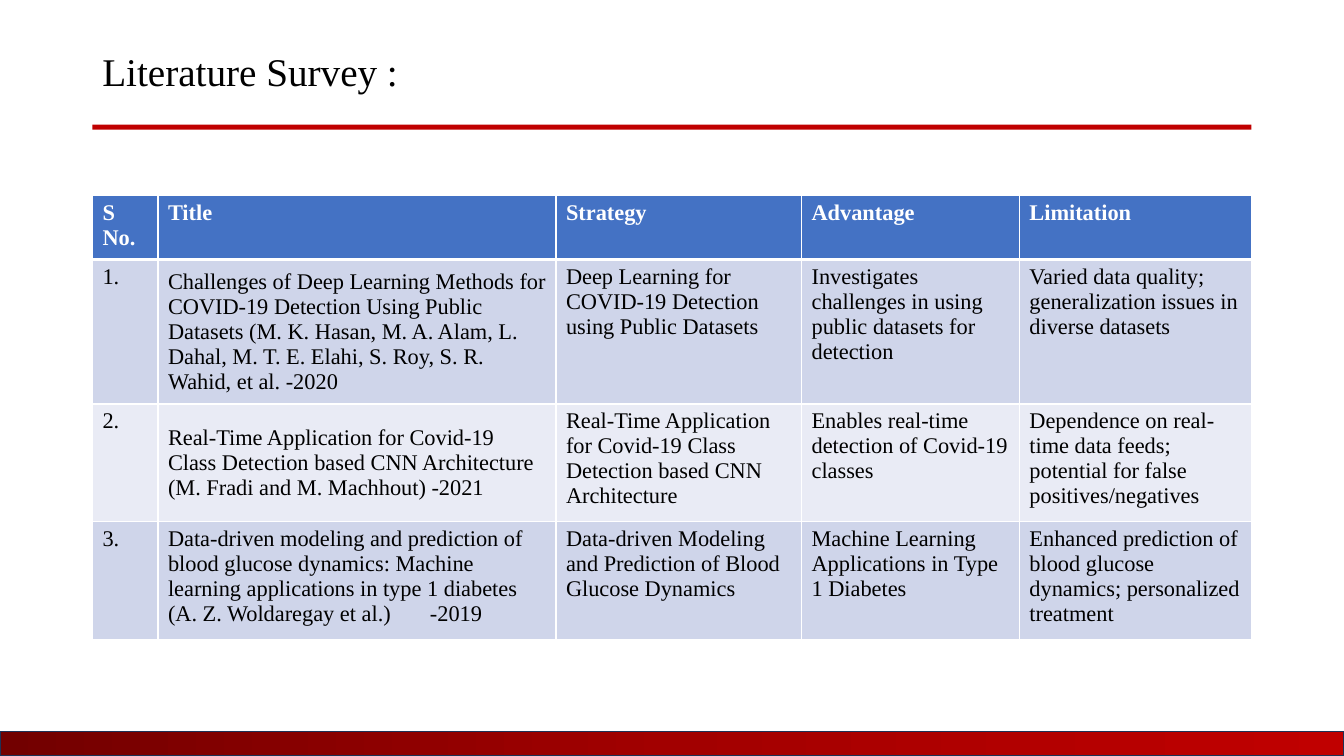
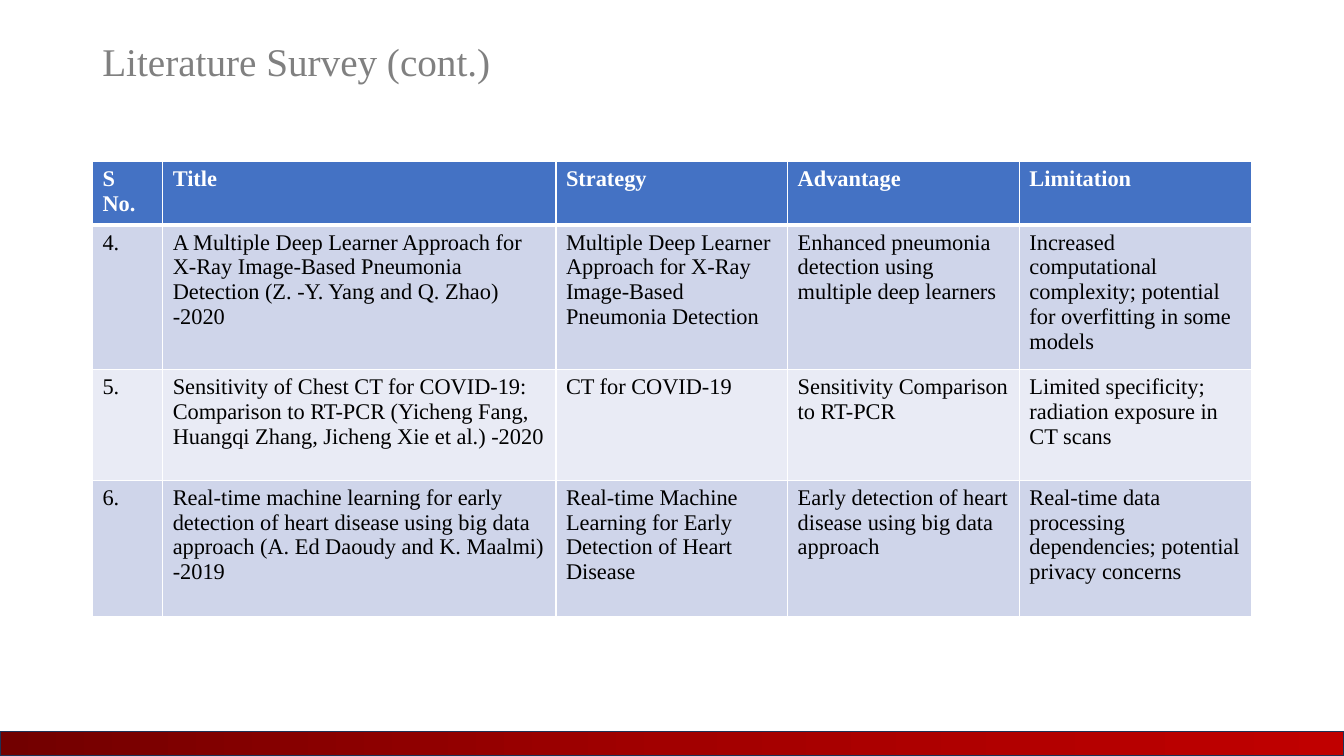
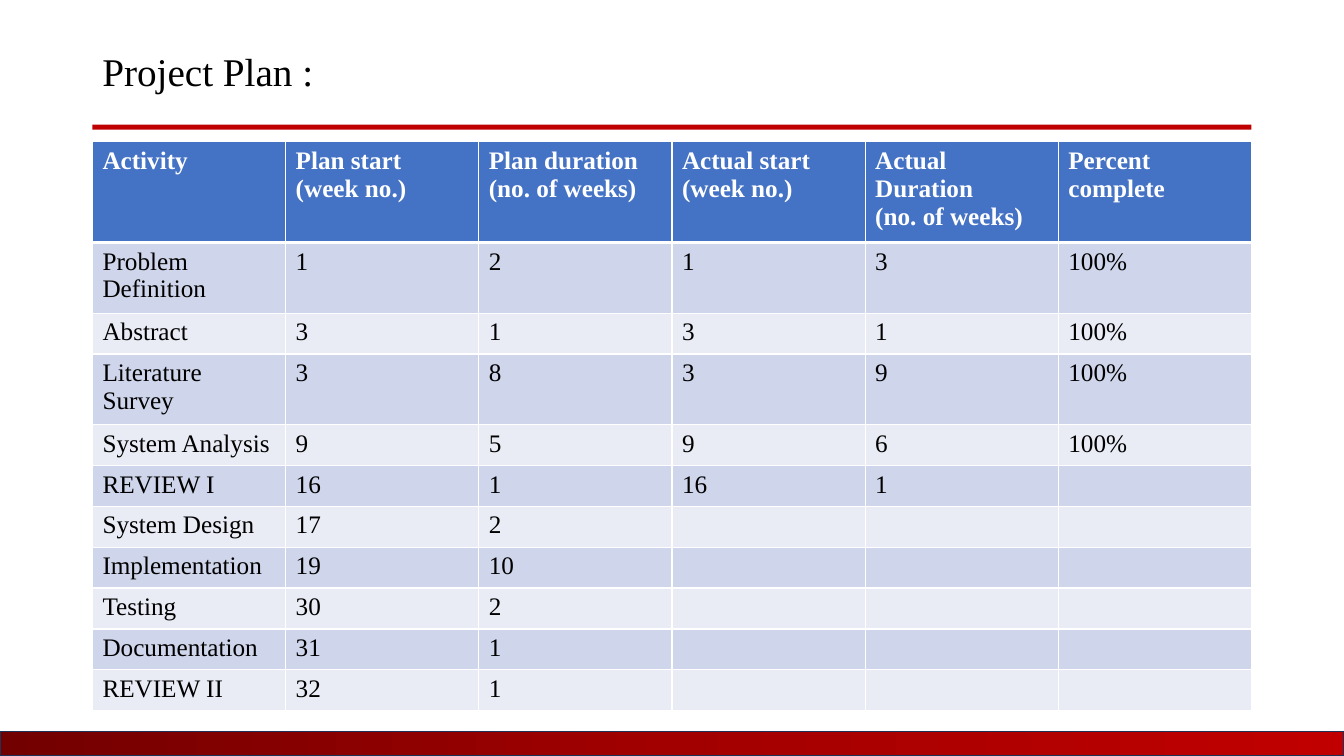
from copy import deepcopy

from pptx import Presentation
from pptx.dml.color import RGBColor
from pptx.enum.shapes import MSO_SHAPE as Shape
from pptx.enum.text import MSO_ANCHOR as Anchor
from pptx.oxml.ns import qn
from pptx.oxml.xmlchemy import OxmlElement
from pptx.util import Cm, Pt

FONT = "Times New Roman"
BLACK = RGBColor(0x00, 0x00, 0x00)
WHITE = RGBColor(0xFF, 0xFF, 0xFF)
GRAY = RGBColor(0x80, 0x80, 0x80)
RED = RGBColor(0xC0, 0x00, 0x00)
NAVY = RGBColor(0x1E, 0x32, 0x56)
HEADER_BLUE = RGBColor(0x44, 0x72, 0xC4)
BANDS = [RGBColor(0xE9, 0xEB, 0xF5), RGBColor(0xCF, 0xD5, 0xEA)]
FOOTER_STOPS = [(0, RGBColor(0x72, 0x00, 0x00)), (0.5, RGBColor(0xA2, 0x00, 0x00)), (1, RED)]

SLIDE_WIDTH, SLIDE_HEIGHT = Cm(33.87), Cm(19.05)
FOOTER_HEIGHT = Cm(0.61)
LEFT, CONTENT_WIDTH = Cm(2.33), Cm(29.21)
YEAR_TAB = Cm(6.6)

SURVEY_HEADER = ["S No.", "Title", "Strategy", "Advantage", "Limitation"]

# Lengths in the slide data are centimetres.
SLIDES = [
    {
        "title": "Literature Survey :", "title_top": 0.94, "title_color": BLACK, "rule": True,
        "table_top": 4.93, "size": 16, "middle_cells": [(1, 1), (2, 1)],
        "columns": [1.65, 10.03, 6.19, 5.49, 5.85],
        "heights": [1.51, 3.37, 2.77, 2.76],
        "rows": [
            SURVEY_HEADER,
            ["1.",
             "Challenges of Deep Learning Methods for COVID-19 Detection Using Public Datasets "
             "(M. K. Hasan, M. A. Alam, L. Dahal, M. T. E. Elahi, S. Roy, S. R. Wahid, et al. -2020",
             "Deep Learning for COVID-19 Detection using Public Datasets",
             "Investigates challenges in using public datasets for detection",
             "Varied data quality; generalization issues in diverse datasets"],
            ["2.",
             "Real-Time Application for Covid-19 Class Detection based CNN Architecture "
             "(M. Fradi and M. Machhout) -2021",
             "Real-Time Application for Covid-19 Class Detection based CNN Architecture",
             "Enables real-time detection of Covid-19 classes",
             "Dependence on real-time data feeds; potential for false positives/negatives"],
            ["3.",
             "Data-driven modeling and prediction of blood glucose dynamics: Machine learning "
             "applications in type 1 diabetes (A. Z. Woldaregay et al.)\t-2019",
             "Data-driven Modeling and Prediction of Blood Glucose Dynamics",
             "Machine Learning Applications in Type 1 Diabetes",
             "Enhanced prediction of blood glucose dynamics; personalized treatment"],
        ],
    },
    {
        "title": "Literature Survey (cont.)", "title_top": 0.69, "title_color": GRAY, "rule": False,
        "table_top": 4.06, "size": 16, "middle_cells": [],
        "columns": [1.77, 9.91, 5.84, 5.84, 5.85],
        "heights": [1.52, 3.51, 2.79, 3.43],
        "rows": [
            SURVEY_HEADER,
            ["4.",
             "A Multiple Deep Learner Approach for X-Ray Image-Based Pneumonia Detection "
             "(Z. -Y. Yang and Q. Zhao) -2020",
             "Multiple Deep Learner Approach for X-Ray Image-Based Pneumonia Detection",
             "Enhanced pneumonia detection using multiple deep learners",
             "Increased computational complexity; potential for overfitting in some models"],
            ["5.",
             "Sensitivity of Chest CT for COVID-19: Comparison to RT-PCR "
             "(Yicheng Fang, Huangqi Zhang, Jicheng Xie et al.) -2020",
             "CT for COVID-19",
             "Sensitivity Comparison to RT-PCR",
             "Limited specificity; radiation exposure in CT scans"],
            ["6.",
             "Real-time machine learning for early detection of heart disease using big data "
             "approach (A. Ed Daoudy and K. Maalmi) -2019",
             "Real-time Machine Learning for Early Detection of Heart Disease",
             "Early detection of heart disease using big data approach",
             "Real-time data processing dependencies; potential privacy concerns"],
        ],
    },
    {
        "title": "Project Plan :", "title_top": 0.94, "title_color": BLACK, "rule": True,
        "table_top": 3.57, "size": 18, "middle_cells": [],
        "columns": [29.21 / 6] * 6,
        "heights": [2.37, 1.66, 1.03, 1.66] + [1.03] * 7,
        "rows": [
            ["Activity", "Plan start\n(week no.)", "Plan duration\n(no. of weeks)",
             "Actual start\n(week no.)", "Actual Duration\n(no. of weeks)", "Percent complete"],
            ["Problem Definition", "1", "2", "1", "3", "100%"],
            ["Abstract", "3", "1", "3", "1", "100%"],
            ["Literature Survey", "3", "8", "3", "9", "100%"],
            ["System Analysis", "9", "5", "9", "6", "100%"],
            ["REVIEW I", "16", "1", "16", "1", ""],
            ["System Design", "17", "2", "", "", ""],
            ["Implementation", "19", "10", "", "", ""],
            ["Testing", "30", "2", "", "", ""],
            ["Documentation", "31", "1", "", "", ""],
            ["REVIEW II", "32", "1", "", "", ""],
        ],
    },
]


def write(frame, text, *, size, color, bold=False, line_spacing=None):
    """Fill a text frame, one paragraph per line; a tab leads to the year stop."""
    frame.word_wrap = True
    for index, line in enumerate(text.split("\n")):
        paragraph = frame.add_paragraph() if index else frame.paragraphs[0]
        paragraph.font.size = Pt(size)
        if line_spacing:
            paragraph.line_spacing = line_spacing
        if "\t" in line:
            tabs = OxmlElement("a:tabLst")
            stop = OxmlElement("a:tab")
            stop.set("pos", str(YEAR_TAB))
            stop.set("algn", "l")
            tabs.append(stop)
            paragraph._p.get_or_add_pPr().insert(0, tabs)
        if line:
            run = paragraph.add_run()
            run.text = line
            run.font.name = FONT
            run.font.size = Pt(size)
            run.font.bold = bold
            run.font.color.rgb = color


def set_borders(cell, **widths):
    """Draw white cell edges; each keyword is L, R, T or B with a width in points."""
    properties = cell._tc.get_or_add_tcPr()
    for side, width in widths.items():
        line = OxmlElement(f"a:ln{side}")
        line.set("w", str(Pt(width)))
        fill = OxmlElement("a:solidFill")
        color = OxmlElement("a:srgbClr")
        color.set("val", str(WHITE))
        fill.append(color)
        line.append(fill)
        properties.append(line)


presentation = Presentation()
presentation.slide_width, presentation.slide_height = SLIDE_WIDTH, SLIDE_HEIGHT
blank_layout = presentation.slide_layouts[6]

for content in SLIDES:
    slide = presentation.slides.add_slide(blank_layout)

    title = slide.shapes.add_textbox(LEFT, Cm(content["title_top"]), CONTENT_WIDTH, Cm(1.82))
    title.text_frame.vertical_anchor = Anchor.MIDDLE
    write(title.text_frame, content["title"], size=28, color=content["title_color"],
          line_spacing=0.9)

    rows, columns, heights = content["rows"], content["columns"], content["heights"]
    table = slide.shapes.add_table(
        len(rows), len(columns), LEFT, Cm(content["table_top"]),
        CONTENT_WIDTH, Cm(sum(heights))).table
    table.horz_banding = False
    for column, width in zip(table.columns, columns):
        column.width = Cm(width)
    for row_index, texts in enumerate(rows):
        table.rows[row_index].height = Cm(heights[row_index])
        is_header = row_index == 0
        for column_index, text in enumerate(texts):
            cell = table.cell(row_index, column_index)
            set_borders(cell, L=1, R=1, T=3 if row_index == 1 else 1, B=3 if is_header else 1)
            cell.fill.solid()
            cell.fill.fore_color.rgb = HEADER_BLUE if is_header else BANDS[row_index % 2]
            if (row_index, column_index) in content["middle_cells"]:
                cell.vertical_anchor = Anchor.MIDDLE
            write(cell.text_frame, text, size=content["size"],
                  color=WHITE if is_header else BLACK, bold=is_header)

    footer = slide.shapes.add_shape(
        Shape.RECTANGLE, 0, SLIDE_HEIGHT - FOOTER_HEIGHT, SLIDE_WIDTH, FOOTER_HEIGHT)
    footer.shadow.inherit = False
    footer.line.color.rgb = NAVY
    footer.line.width = Pt(1)
    footer.fill.gradient()
    footer.fill.gradient_angle = 0
    stop_list = footer._element.spPr.find(qn("a:gradFill")).find(qn("a:gsLst"))
    stop_list.append(deepcopy(stop_list[0]))
    for stop, (position, color) in zip(footer.fill.gradient_stops, FOOTER_STOPS):
        stop.position = position
        stop.color.rgb = color

    if content["rule"]:
        title_rule = slide.shapes.add_shape(
            Shape.RECTANGLE, LEFT, Cm(3.14), CONTENT_WIDTH, Cm(0.13))
        title_rule.shadow.inherit = False
        title_rule.fill.solid()
        title_rule.fill.fore_color.rgb = RED
        title_rule.line.fill.background()

presentation.save("out.pptx")
